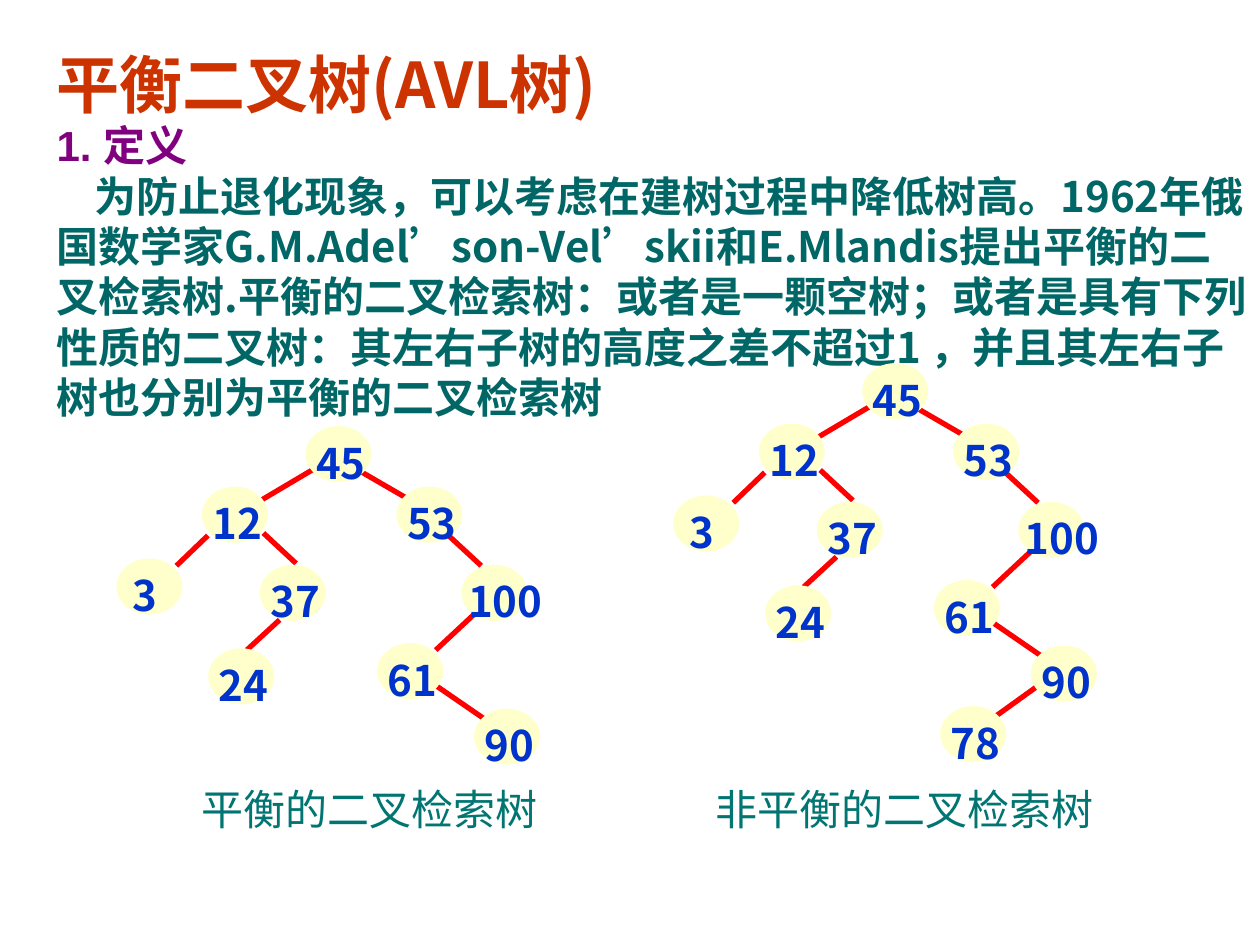
"""Build a slide that defines the AVL tree beside a balanced and an unbalanced example."""
from dataclasses import dataclass

from lxml import etree
from pptx import Presentation
from pptx.dml.color import RGBColor
from pptx.enum.lang import MSO_LANGUAGE_ID
from pptx.enum.shapes import MSO_CONNECTOR, MSO_SHAPE
from pptx.enum.text import PP_ALIGN
from pptx.oxml.ns import qn
from pptx.util import Pt

OVAL = MSO_SHAPE.OVAL
STRAIGHT = MSO_CONNECTOR.STRAIGHT
CENTER = PP_ALIGN.CENTER
LEFT = PP_ALIGN.LEFT
CHINESE = MSO_LANGUAGE_ID.SIMPLIFIED_CHINESE


@dataclass(frozen=True)
class Theme:
    title: str = "CC3300"
    heading: str = "800080"
    body: str = "006666"
    caption: str = "007572"
    key: str = "0033CC"
    node: str = "FFFFCC"
    edge: str = "FF0000"
    title_size: float = 36
    text_size: float = 24
    latin: str = "Arial"
    title_font: str = "Noto Sans CJK JP"
    tree_font: str = "Noto Sans CJK SC"


theme = Theme()


def add_box(shapes, left, top, width, height):
    box = shapes.add_textbox(Pt(left), Pt(top), Pt(width), Pt(height))
    box.text_frame.word_wrap = True
    return box.text_frame


def write(para, text, color, size, spacing, asian, latin=None, bold=True, align=LEFT):
    para.text = text
    para.alignment = align
    para.line_spacing = Pt(spacing)
    for span in para.runs:
        span.font.size = Pt(size)
        span.font.bold = bold
        span.font.color.rgb = RGBColor.from_string(color)
        span.font.language_id = CHINESE
        span.font.name = latin or asian
        etree.SubElement(span.font._element, qn("a:ea")).set("typeface", asian)


deck = Presentation()
deck.slide_width, deck.slide_height = Pt(720), Pt(540)
page = deck.slides.add_slide(deck.slide_layouts[6])

definition = (
    "为防止退化现象，可以考虑在建树过程中降低树高。1962年俄国数学家G.M.Adel’son-Vel’skii"
    "和E.Mlandis提出平衡的二叉检索树.平衡的二叉检索树：或者是一颗空树；或者是具有下列性质的"
    "二叉树：其左右子树的高度之差不超过1 ，并且其左右子树也分别为平衡的二叉检索树"
)
intro = [
    ("平衡二叉树(AVL树)", theme.title, theme.title_size, 43.2, None),
    ("1. 定义", theme.heading, theme.text_size, 28, theme.latin),
    (definition, theme.body, theme.text_size, 28.8, None),
]
frame = add_box(page.shapes, 25.2, 16.6, 694.8, 257.8)
frame.margin_top = Pt(9.4)
for index, (text, color, size, spacing, latin) in enumerate(intro):
    para = frame.add_paragraph() if index else frame.paragraphs[0]
    write(para, text, color, size, spacing, theme.title_font, latin)
para._p.get_or_add_pPr().set("indent", str(Pt(21.7)))

balanced_nodes = [
    ("45", 175, 244), ("53", 227, 278.6), ("100", 264.2, 323.3),
    ("61", 216, 368), ("90", 271.4, 405.4), ("12", 115.9, 278.6),
    ("3", 67, 319.7), ("37", 149, 323.3), ("24", 119.5, 371),
]
balanced_edges = [
    (149, 286, 178.5, 268.5), (204.5, 268.5, 234.7, 286),
    (256.3, 306, 275, 323.3), (271.4, 350.6, 249, 371.5),
    (279.4, 412.6, 249, 391.7), (150.5, 304.6, 169.2, 322),
    (118.8, 306, 100.8, 323.3), (159.8, 354.2, 141, 371.5),
]
unbalanced_nodes = balanced_nodes + [("78", 219.6, 440)]
unbalanced_edges = balanced_edges + [(282.3, 422.6, 249.2, 446.4)]
trees = [
    (0, 0, balanced_nodes, balanced_edges, "平衡的二叉检索树", 53.3),
    (318.2, -36, unbalanced_nodes, unbalanced_edges, "非平衡的二叉检索树", 359.3),
]
key_gap = {"3": 5.4, "100": 0}

for shift_x, shift_y, nodes, edges, caption, caption_left in trees:
    tree = page.shapes.add_group_shape().shapes
    for x1, y1, x2, y2 in edges:
        edge = tree.add_connector(STRAIGHT, Pt(x1 + shift_x), Pt(y1 + shift_y),
                                  Pt(x2 + shift_x), Pt(y2 + shift_y))
        edge.line.color.rgb = RGBColor.from_string(theme.edge)
        edge.line.width = Pt(3)
        etree.SubElement(edge._element.spPr, qn("a:effectLst"))
    for key, x, y in nodes:
        left, top = x + shift_x, y + shift_y
        node = tree.add_shape(OVAL, Pt(left), Pt(top), Pt(36.7), Pt(31))
        node.shadow.inherit = False
        node.fill.solid()
        node.fill.fore_color.rgb = RGBColor.from_string(theme.node)
        node.line.color.rgb = RGBColor.from_string(theme.node)
        node.line.width = Pt(1)
        frame = add_box(tree, left - 3.8, top, 76 if len(key) > 2 else 52, 36)
        frame.margin_left = Pt(7.2 + key_gap.get(key, 2.2))
        write(frame.paragraphs[0], key, theme.key, theme.text_size, 31, theme.tree_font)
    frame = add_box(page.shapes, caption_left, 442, 315.4, 36)
    write(frame.paragraphs[0], caption, theme.caption, theme.text_size, 31,
          theme.tree_font, bold=False, align=CENTER)

deck.save("out.pptx")
